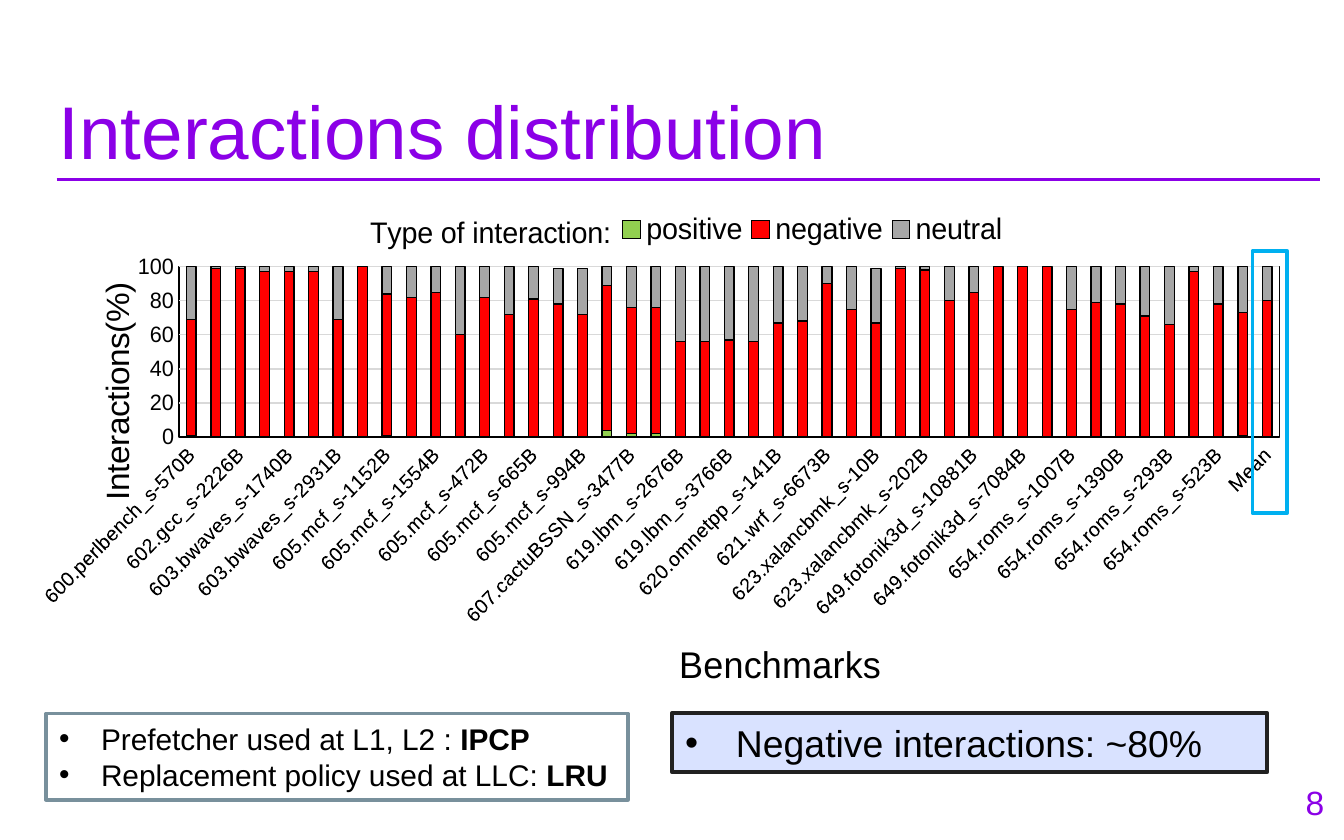
from dataclasses import dataclass

import lxml.etree
import pptx
import pptx.chart.data
import pptx.dml.color
import pptx.enum.chart
import pptx.enum.shapes
import pptx.enum.text
import pptx.oxml
import pptx.oxml.ns
import pptx.util
from pptx.util import Cm, Pt

qn = pptx.oxml.ns.qn
Align = pptx.enum.text.PP_ALIGN
Anchor = pptx.enum.text.MSO_ANCHOR


@dataclass(frozen=True)
class Theme:
    font: str = "Arial"
    accent: str = "8B00E7"
    ink: str = "000000"
    grid: str = "D9D9D9"
    positive: str = "92D050"
    negative: str = "FF0000"
    neutral: str = "A6A6A6"
    white: str = "FFFFFF"
    slate: str = "78909C"
    pale_blue: str = "D9E2FF"
    charcoal: str = "212121"
    highlight: str = "00B0F0"
    title_size: int = 40
    large_size: int = 20
    medium_size: int = 18
    body_size: int = 16
    value_size: int = 12
    category_size: int = 11


THEME = Theme()

BENCHMARKS = {
    "600.perlbench_s": "570B",
    "602.gcc_s": "1850B 2226B 734B",
    "603.bwaves_s": "1740B 2609B 2931B 891B",
    "605.mcf_s": "1152B 1536B 1554B 1644B 472B 484B 665B 782B 994B",
    "607.cactuBSSN_s": "2421B 3477B 4004B",
    "619.lbm_s": "2676B 2677B 3766B 4268B",
    "620.omnetpp_s": "141B 874B",
    "621.wrf_s": "6673B 8065B",
    "623.xalancbmk_s": "10B 165B 202B",
    "628.pop2_s": "17B",
    "649.fotonik3d_s": "10881B 1176B 7084B 8225B",
    "654.roms_s": "1007B 1070B 1390B 1613B 293B 294B 523B",
    "657.xz_s": "2302B",
}
CATEGORIES = [f"{name}-{trace}" for name, traces in BENCHMARKS.items()
              for trace in traces.split()] + ["Mean"]
POSITIVE_AT = {0: 1, 8: 1, 17: 4, 18: 2, 19: 2, 43: 1}
SERIES = {
    "positive": [POSITIVE_AT.get(i, 0) for i in range(len(CATEGORIES))],
    "negative": [68, 99, 99, 97, 97, 97, 69, 100, 83, 82, 85, 60, 82, 72, 81,
                 78, 72, 85, 74, 74, 56, 56, 57, 56, 67, 68, 90, 75, 67, 99,
                 98, 80, 85, 100, 100, 100, 75, 79, 78, 71, 66, 97, 78, 72, 80],
    "neutral": [31, 1, 1, 3, 3, 3, 31, 0, 16, 18, 15, 40, 18, 28, 19,
                21, 27, 11, 24, 24, 44, 44, 43, 44, 33, 32, 10, 25, 32, 1,
                2, 20, 15, 0, 0, 0, 25, 21, 22, 29, 34, 3, 22, 27, 20],
}


def rgb(value):
    return pptx.dml.color.RGBColor.from_string(value)


def set_line(line, color, width):
    line.color.rgb = rgb(color)
    line.width = Pt(width)


def set_font(font, size, color=THEME.ink, bold=False):
    font.name = THEME.font
    font.size = Pt(size)
    font.bold = bold
    font.color.rgb = rgb(color)


def write_text(frame, paragraphs, size, color=THEME.ink, align=None, bullet_indent=None):
    """Each paragraph is a list of strings; every second string is bold."""
    for number, parts in enumerate(paragraphs):
        paragraph = frame.add_paragraph() if number else frame.paragraphs[0]
        if align is not None:
            paragraph.alignment = align
        for position, part in enumerate(parts):
            run = paragraph.add_run()
            run.text = part
            set_font(run.font, size, color, bold=position % 2 == 1)
        if bullet_indent is not None:
            properties = paragraph._p.get_or_add_pPr()
            properties.set("marL", str(bullet_indent))
            properties.set("indent", str(-bullet_indent))
            lxml.etree.SubElement(properties, qn("a:buFont"), typeface=THEME.font)
            lxml.etree.SubElement(properties, qn("a:buChar"), char="•")


def add_title(slide, left, top, width, height):
    title = slide.shapes.title
    title.left, title.top, title.width, title.height = left, top, width, height
    frame = title.text_frame
    frame.auto_size = pptx.enum.text.MSO_AUTO_SIZE.NONE
    frame.vertical_anchor = Anchor.TOP
    frame.margin_left = frame.margin_right = Cm(0.25)
    frame.margin_top, frame.margin_bottom = Cm(0.25), Cm(0)
    write_text(frame, [["Interactions distribution"]], THEME.title_size,
               THEME.accent, Align.LEFT)
    rule_top = top + Cm(2.05)
    rule = slide.shapes.add_connector(
        pptx.enum.shapes.MSO_CONNECTOR.STRAIGHT,
        left + Cm(0.21), rule_top, left + width + Cm(0.41), rule_top)
    set_line(rule.line, THEME.accent, 1.5)
    lxml.etree.SubElement(rule._element.spPr, qn("a:effectLst"))


def add_page_number(slide, left, top, width, height):
    frame = slide.shapes.add_textbox(left, top, width, height).text_frame
    frame.word_wrap = True
    frame.vertical_anchor = Anchor.MIDDLE
    write_text(frame, [["8"]], THEME.medium_size, THEME.accent, Align.RIGHT)


def set_layout(element, index, inner=False, **percentages):
    """Place a chart part by percentages of the chart's size."""
    for old in element.findall(qn("c:layout")):
        element.remove(old)
    layout = lxml.etree.Element(qn("c:layout"))
    manual = lxml.etree.SubElement(layout, qn("c:manualLayout"))
    settings = {"layoutTarget": "inner"} if inner else {}
    settings.update(xMode="edge", yMode="edge")
    settings.update({name: value / 100 for name, value in percentages.items()})
    for name, value in settings.items():
        lxml.etree.SubElement(manual, qn(f"c:{name}"), val=str(value))
    element.insert(index, layout)


def write_chart_title(owner, title, text, size, x, y):
    write_text(title.text_frame, [[text]], size)
    set_layout(owner.find(qn("c:title")), 1, x=x, y=y)


def add_interactions_chart(slide, left, top, width, height):
    data = pptx.chart.data.CategoryChartData(number_format="0")
    data.categories = CATEGORIES
    for name, values in SERIES.items():
        data.add_series(name, values)
    chart = slide.shapes.add_chart(pptx.enum.chart.XL_CHART_TYPE.COLUMN_STACKED,
                                   left, top, width, height, data).chart
    set_font(chart.font, THEME.category_size)
    plot = chart.plots[0]
    plot.gap_width, plot.overlap, plot.vary_by_categories = 150, 100, False
    for series in plot.series:
        series.format.fill.solid()
        series.format.fill.fore_color.rgb = rgb(getattr(THEME, series.name))
        set_line(series.format.line, THEME.ink, 0.75)

    categories, values = chart.category_axis, chart.value_axis
    for axis, size in ((categories, THEME.category_size), (values, THEME.value_size)):
        axis.major_tick_mark = axis.minor_tick_mark = pptx.enum.chart.XL_TICK_MARK.NONE
        set_font(axis.tick_labels.font, size)
    set_line(categories.format.line, THEME.ink, 0.75)
    categories._element.find(qn("c:txPr")).find(qn("a:bodyPr")).set("rot", "-2700000")
    skip = lxml.etree.Element(qn("c:tickLblSkip"), val="2")
    categories._element.find(qn("c:noMultiLvlLbl")).addprevious(skip)
    values.minimum_scale, values.maximum_scale, values.major_unit = 0, 100, 20
    values.format.line.fill.background()
    set_line(values.major_gridlines.format.line, THEME.grid, 0.75)

    chart.has_title = True
    write_chart_title(chart._chartSpace.chart, chart.chart_title,
                      "Type of interaction:", THEME.body_size, 23.2, 2.8)
    write_chart_title(categories._element, categories.axis_title,
                      "Benchmarks", THEME.large_size, 48.7, 87.8)
    write_chart_title(values._element, values.axis_title,
                      "Interactions(%)", THEME.medium_size, 0.4, 15.2)
    chart.has_legend = True
    chart.legend.position = pptx.enum.chart.XL_LEGEND_POSITION.BOTTOM
    chart.legend.include_in_layout = False
    set_font(chart.legend.font, THEME.body_size)
    set_layout(chart.legend._element, 1, x=43.8, y=2.6, w=33, h=9)

    plot_area = chart._chartSpace.chart.plotArea
    set_layout(plot_area, 0, inner=True, x=7.8, y=14.6, w=91.2, h=34)
    plot_area.append(pptx.oxml.parse_xml(
        f'<c:spPr {pptx.oxml.ns.nsdecls("c", "a")}><a:noFill/><a:ln w="9525"><a:solidFill>'
        f'<a:srgbClr val="{THEME.ink}"/></a:solidFill></a:ln></c:spPr>'))


def add_box(slide, left, top, width, height, line, fill=None):
    box = slide.shapes.add_shape(pptx.enum.shapes.MSO_SHAPE.RECTANGLE,
                                 left, top, width, height)
    box.shadow.inherit = False
    set_line(box.line, line, 2)
    if fill is None:
        box.fill.background()
    else:
        box.fill.solid()
        box.fill.fore_color.rgb = rgb(fill)
    return box


def add_bullet_box(slide, left, top, width, height, line, fill, paragraphs, size, indent):
    frame = add_box(slide, left, top, width, height, line, fill).text_frame
    frame.word_wrap = True
    frame.margin_right = Cm(0.05)
    frame.vertical_anchor = Anchor.MIDDLE
    write_text(frame, paragraphs, size, align=Align.LEFT, bullet_indent=indent)


def main():
    presentation = pptx.Presentation()
    presentation.slide_width, presentation.slide_height = Cm(25.4), Cm(15.88)
    slide = presentation.slides.add_slide(presentation.slide_layouts[5])
    add_title(slide, Cm(0.86), Cm(1.35), Cm(23.67), Cm(1.78))
    add_page_number(slide, Cm(23.5), Cm(14.55), Cm(1.78), Cm(1.22))
    add_interactions_chart(slide, Cm(0.74), Cm(3.66), Cm(23.67), Cm(9.53))
    add_bullet_box(slide, Cm(0.87), Cm(13.49), Cm(11), Cm(1.63), THEME.slate, THEME.white,
                   [["Prefetcher used at L1, L2 : ", "IPCP"],
                    ["Replacement policy used at LLC: ", "LRU"]],
                   THEME.body_size, Cm(0.79))
    add_bullet_box(slide, Cm(12.7), Cm(13.48), Cm(11.25), Cm(1.12), THEME.charcoal,
                   THEME.pale_blue, [["Negative interactions: ~80%"]],
                   THEME.large_size, Cm(0.96))
    add_box(slide, Cm(23.67), Cm(4.75), Cm(0.66), Cm(4.95), THEME.highlight)
    presentation.save("out.pptx")


if __name__ == "__main__":
    main()
